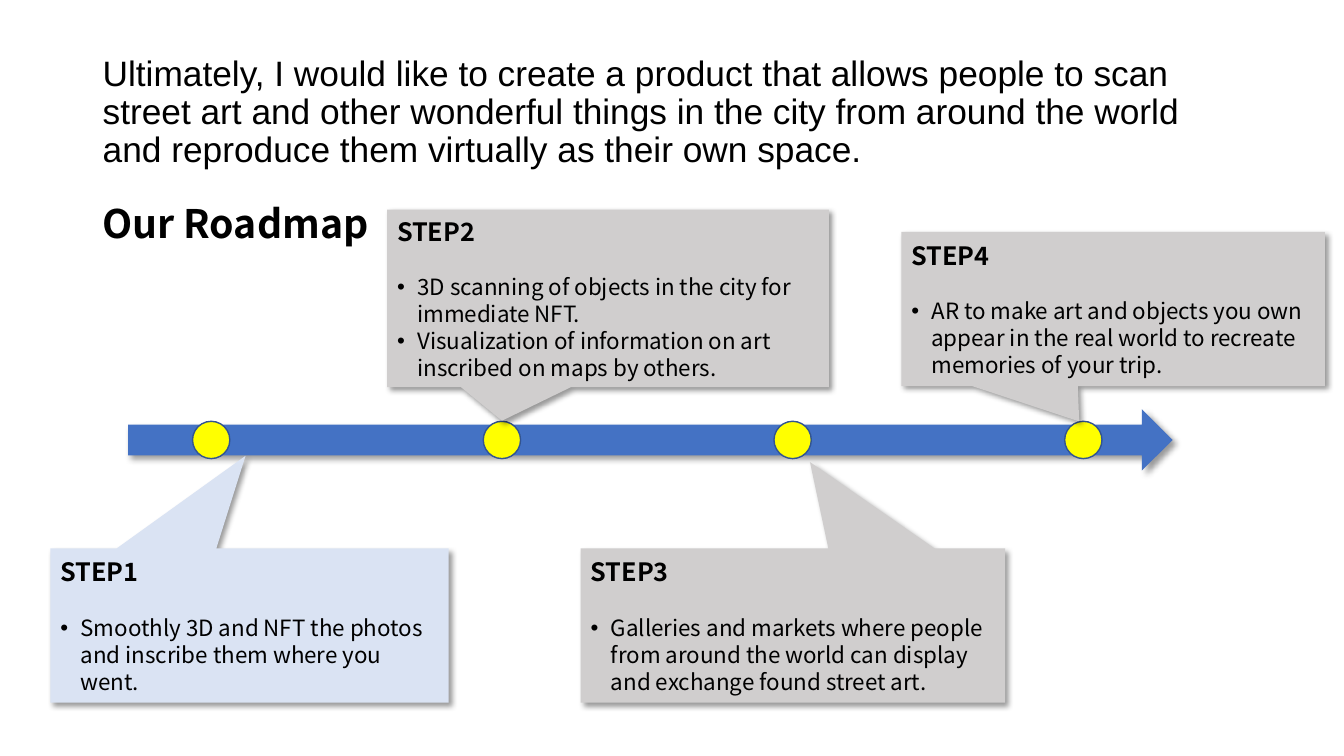
import pptx
import pptx.util
import pptx.dml.color
import pptx.enum.shapes
import pptx.enum.text
import pptx.oxml
import pptx.oxml.ns
import lxml.etree

Inches = pptx.util.Inches
RGBColor = pptx.dml.color.RGBColor
Shapes = pptx.enum.shapes.MSO_SHAPE
Anchor = pptx.enum.text.MSO_ANCHOR

BLACK = RGBColor(0x00, 0x00, 0x00)
BLUE = RGBColor(0x44, 0x72, 0xC4)
DARK_BLUE = RGBColor(0x32, 0x54, 0x91)
YELLOW = RGBColor(0xFF, 0xFF, 0x00)
PALE_BLUE = RGBColor(0xDA, 0xE3, 0xF3)
GRAY = RGBColor(0xD0, 0xCE, 0xCE)
HEADING_FONT = "Arial"
BODY_FONT = "Noto Sans CJK JP"

VISION = (
    "Ultimately, I would like to create a product that allows people to scan "
    "street art and other wonderful things in the city from around the world "
    "and reproduce them virtually as their own space."
)
ROADMAP_TITLE = "Our Roadmap"
STEPS = [
    {"name": "STEP1", "box": (0.5, 5.44, 3.95, 1.53), "tip": (-0.01, -1.1), "color": PALE_BLUE,
     "items": ["Smoothly 3D and NFT the photos and inscribe them where you went."]},
    {"name": "STEP4", "box": (8.94, 2.3, 4.2, 1.53), "tip": (-0.08, 0.73), "color": GRAY,
     "items": ["AR to make art and objects you own appear in the real world to recreate "
               "memories of your trip."]},
    {"name": "STEP3", "box": (5.76, 5.44, 4.21, 1.53), "tip": (0.04, -1.06), "color": GRAY,
     "items": ["Galleries and markets where people from around the world can display "
               "and exchange found street art."]},
    {"name": "STEP2", "box": (3.84, 2.08, 4.38, 1.76), "tip": (-0.24, 0.69), "color": GRAY,
     "items": ["3D scanning of objects in the city for immediate NFT.",
               "Visualization of information on art inscribed on maps by others."]},
]
ARROW_BOX = (1.27, 4.06, 10.36, 0.61)
DOT_SIZE = 0.37
FIRST_DOT, LAST_DOT, DOT_TOP = 1.91, 10.56, 4.18


def write(paragraph, text, size, font=BODY_FONT, bold=False, bullet=False,
          line_spacing=None, space_after=0):
    paragraph.alignment = pptx.enum.text.PP_ALIGN.LEFT
    paragraph.space_after = pptx.util.Pt(space_after)
    if line_spacing:
        paragraph.line_spacing = line_spacing
    run = paragraph.add_run()
    run.text = text
    run.font.size = pptx.util.Pt(size)
    run.font.name = font
    run.font.bold = bold
    run.font.color.rgb = BLACK
    if bullet:
        properties = paragraph._p.get_or_add_pPr()
        properties.set("marL", str(Inches(0.2)))
        properties.set("indent", str(Inches(-0.2)))
        for tag, name, value in (("a:buFont", "typeface", "Arial"), ("a:buChar", "char", "•")):
            lxml.etree.SubElement(properties, pptx.oxml.ns.qn(tag)).set(name, value)


def add_text(box, text, anchor, **text_format):
    frame = slide.shapes.add_textbox(*map(Inches, box)).text_frame
    frame.word_wrap = True
    frame.vertical_anchor = anchor
    write(frame.paragraphs[0], text, line_spacing=0.9, **text_format)


def add_shape(kind, box, color, line=None, shadow=False):
    shape = slide.shapes.add_shape(kind, *map(Inches, box))
    shape.fill.solid()
    shape.fill.fore_color.rgb = color
    if line:
        shape.line.color.rgb = line
        shape.line.width = pptx.util.Pt(1)
    else:
        shape.line.fill.background()
    shape.shadow.inherit = False
    if shadow:
        effects = shape._element.spPr.find(pptx.oxml.ns.qn("a:effectLst"))
        effects.append(pptx.oxml.parse_xml(
            f'<a:outerShdw {pptx.oxml.ns.nsdecls("a")} blurRad="50800" dist="38100" '
            'dir="2700000" algn="tl" rotWithShape="0"><a:srgbClr val="000000">'
            '<a:alpha val="40000"/></a:srgbClr></a:outerShdw>'))
    return shape


def add_step(step):
    callout = add_shape(Shapes.RECTANGULAR_CALLOUT, step["box"], step["color"], shadow=True)
    for index, value in enumerate(step["tip"]):
        callout.adjustments[index] = value
    frame = callout.text_frame
    frame.word_wrap = True
    frame.vertical_anchor = Anchor.MIDDLE
    write(frame.paragraphs[0], step["name"], 18, bold=True, space_after=19.5)
    for item in step["items"]:
        write(frame.add_paragraph(), item, 16, bullet=True)


presentation = pptx.Presentation()
presentation.slide_width = Inches(13.33)
presentation.slide_height = Inches(7.5)
slide = presentation.slides.add_slide(presentation.slide_layouts[6])

add_text((0.92, 0.4, 11.5, 1.45), VISION, Anchor.MIDDLE, size=25.2, font=HEADING_FONT)
add_text((0.92, 1.98, 11.5, 0.55), ROADMAP_TITLE, Anchor.TOP, size=28, bold=True)

add_shape(Shapes.RIGHT_ARROW, ARROW_BOX, BLUE, shadow=True)
dot_pitch = (LAST_DOT - FIRST_DOT) / (len(STEPS) - 1)
for index in range(len(STEPS)):
    add_shape(Shapes.OVAL, (FIRST_DOT + index * dot_pitch, DOT_TOP, DOT_SIZE, DOT_SIZE),
              YELLOW, line=DARK_BLUE)

for step in STEPS:
    add_step(step)

presentation.save("out.pptx")
